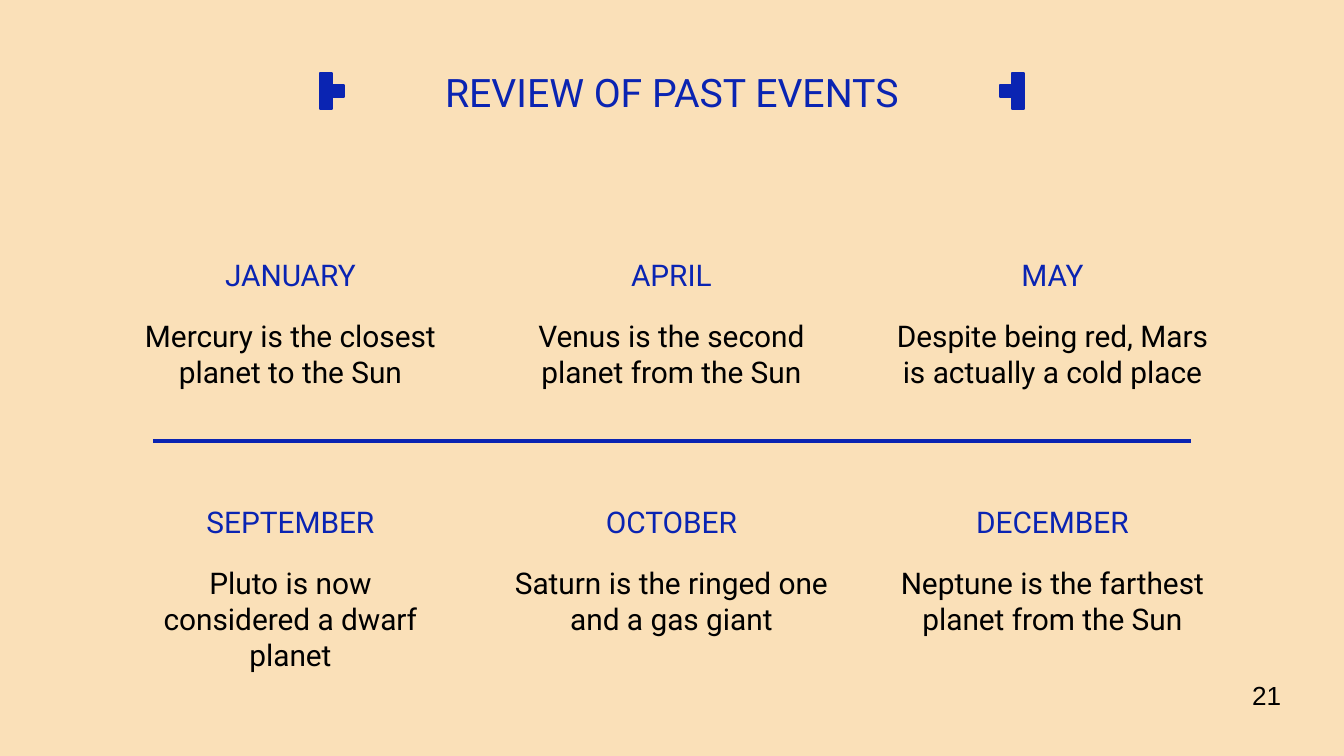
from lxml.etree import SubElement
from pptx import Presentation
from pptx.dml.color import RGBColor
from pptx.enum.shapes import MSO_CONNECTOR, MSO_SHAPE
from pptx.enum.text import MSO_ANCHOR, MSO_AUTO_SIZE, PP_ALIGN
from pptx.oxml.ns import qn
from pptx.util import Pt

SCALE = 914400 / 134.4
SAND = RGBColor(0xFA, 0xE0, 0xB8)
BLUE = RGBColor(0x0A, 0x24, 0xB2)
BLACK = RGBColor(0, 0, 0)

EVENTS = [
    [
        ("JANUARY", "Mercury is the closest planet to the Sun"),
        ("APRIL", "Venus is the second planet from the Sun"),
        ("MAY", "Despite being red, Mars is actually a cold place"),
    ],
    [
        ("SEPTEMBER", "Pluto is now considered a dwarf planet"),
        ("OCTOBER", "Saturn is the ringed one and a gas giant"),
        ("DECEMBER", "Neptune is the farthest planet from the Sun"),
    ],
]


def px(value):
    return round(value * SCALE)


def write(shape, text, size, color, anchor=MSO_ANCHOR.TOP,
          align=PP_ALIGN.CENTER, face="Roboto", wrap=True):
    frame = shape.text_frame
    frame.auto_size = MSO_AUTO_SIZE.NONE
    frame.word_wrap = wrap
    frame.vertical_anchor = anchor
    frame.margin_left = frame.margin_right = px(13)
    frame.margin_top = frame.margin_bottom = px(13)
    frame.text = text
    line = frame.paragraphs[0]
    line.alignment = align
    line.font.name = face
    line.font.size = Pt(size)
    line.font.color.rgb = color


def add_text(slide, left, top, width, height, *args, **style):
    box = slide.shapes.add_textbox(px(left), px(top), px(width), px(height))
    write(box, *args, **style)


def add_title(slide, left, top, width, height):
    title = slide.shapes.title
    title.left, title.top = px(left), px(top)
    title.width, title.height = px(width), px(height)
    write(title, "REVIEW OF PAST EVENTS", 21, BLUE, MSO_ANCHOR.BOTTOM)


def add_mark(slide, left, top, side, bar, stem):
    group = slide.shapes.add_group_shape()
    for col, row in [(bar, 0), (bar, 1), (bar, 2), (stem, 1)]:
        block = group.shapes.add_shape(
            MSO_SHAPE.RECTANGLE, px(left + col * side), px(top + row * side),
            px(side), px(side))
        block.shadow.inherit = False
        block.fill.solid()
        block.fill.fore_color.rgb = BLUE
        block.line.color.rgb = BLUE
        block.line.width = Pt(0.75)


def add_event(slide, left, top, width, month, fact):
    add_text(slide, left, top, width, 57, month, 16, BLUE, MSO_ANCHOR.BOTTOM)
    add_text(slide, left, top + 56, width, 129, fact, 16, BLACK)


def add_grid(slide, left, top, width, height):
    gap = 40
    cell = (width - 2 * gap) // 3
    for row, events in enumerate(EVENTS):
        for col, (month, fact) in enumerate(events):
            add_event(slide, left + col * (cell + gap),
                      top + row * height // 2, cell, month, fact)


def add_rule(slide, left, top, width):
    rule = slide.shapes.add_connector(
        MSO_CONNECTOR.STRAIGHT, px(left), px(top), px(left + width), px(top))
    rule.line.color.rgb = BLUE
    rule.line.width = Pt(2.25)
    SubElement(rule._element.spPr, qn("a:effectLst"))


def main():
    deck = Presentation()
    deck.slide_width, deck.slide_height = px(1344), px(756)
    slide = deck.slides.add_slide(deck.slide_layouts[5])
    slide.background.fill.solid()
    slide.background.fill.fore_color.rgb = SAND
    add_title(slide, 46, 43, 1252, 85)
    add_mark(slide, 320, 73, 12, 0, 1)
    add_mark(slide, 1000, 73, 12, 1, 0)
    add_grid(slide, 120, 249, 1103, 494)
    add_rule(slide, 153, 441, 1038)
    add_text(slide, 1239, 672, 59, 46, "21", 14, BLACK, MSO_ANCHOR.MIDDLE,
             PP_ALIGN.LEFT, "Arial", False)
    deck.save("out.pptx")


if __name__ == "__main__":
    main()
